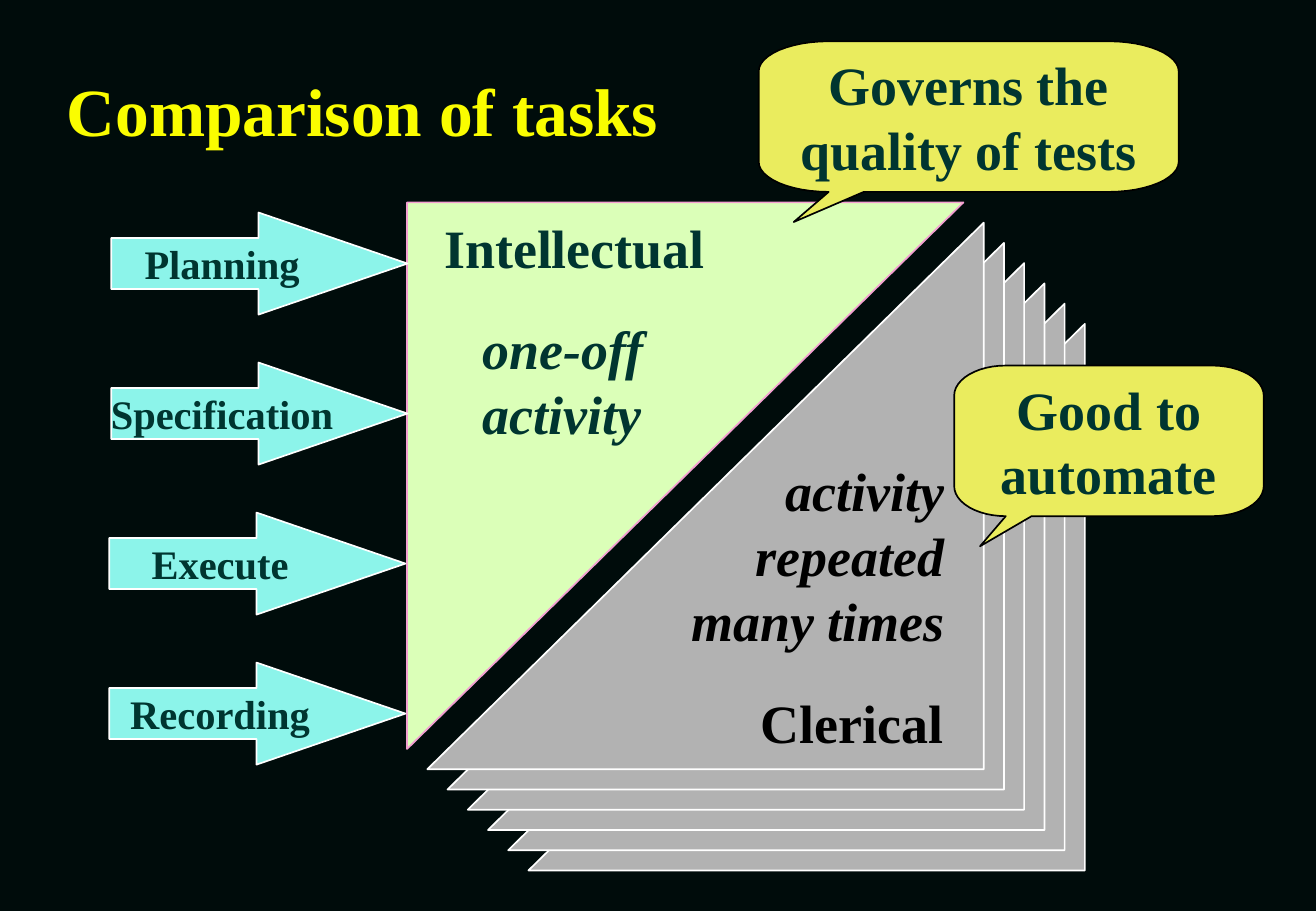
"""Build the slide comparing intellectual and clerical testing tasks."""
from math import cos, pi, sin

from pptx import Presentation
from pptx.dml.color import RGBColor
from pptx.enum.shapes import MSO_SHAPE
from pptx.enum.text import MSO_ANCHOR, MSO_AUTO_SIZE, PP_ALIGN
from pptx.util import Inches, Pt

THEME = {
    "background": "000C0B", "title": "FAFD00", "ink": "003530", "black": "000000",
    "white": "FFFFFF", "sheet": "B2B2B2", "intellect": "DBFFB8", "pink": "F39FD1",
    "callout": "EAEC5E", "arrow": "8CF4EA",
    "font": "Times New Roman", "title_size": 40, "body_size": 32, "arrow_size": 24,
}
CELL = Inches(1) / 6


def paint(shape, fill, line=None):
    shape.shadow.inherit = False
    shape.fill.solid()
    shape.fill.fore_color.rgb = RGBColor.from_string(THEME[fill])
    if line:
        shape.line.color.rgb = RGBColor.from_string(THEME[line])
        shape.line.width = Pt(1)
    else:
        shape.line.fill.background()


def write(shape, words, color, size="body_size", align=PP_ALIGN.CENTER,
          anchor=MSO_ANCHOR.MIDDLE, italic=False, wrap=False):
    frame = shape.text_frame
    frame.text = words
    frame_format = {"word_wrap": wrap, "auto_size": MSO_AUTO_SIZE.NONE,
                    "vertical_anchor": anchor}
    for key, value in frame_format.items():
        setattr(frame, key, value)
    font_format = {"name": THEME["font"], "size": Pt(THEME[size]),
                   "bold": True, "italic": italic}
    for paragraph in frame.paragraphs:
        paragraph.alignment = align
        font = paragraph.runs[0].font
        for key, value in font_format.items():
            setattr(font, key, value)
        font.color.rgb = RGBColor.from_string(THEME[color])


deck = Presentation()
deck.slide_width, deck.slide_height = Inches(10.84), Inches(7.5)
slide = deck.slides.add_slide(deck.slide_layouts[5])
slide.background.fill.solid()
slide.background.fill.fore_color.rgb = RGBColor.from_string(THEME["background"])

heading = slide.shapes.title
title_place = {"left": 2.7, "top": 3.36, "width": 61.7, "height": 4.08}
for side, cells in title_place.items():
    setattr(heading, side, round(cells * CELL))
write(heading, "Comparison of tasks", "title", "title_size", PP_ALIGN.LEFT, wrap=True)

half_width, half_height = 27.5, 27
outlines = []
for depth in range(6, 0, -1):
    left, top = 20.12 + depth, 10 + depth
    right, bottom = left + half_width, top + half_height
    outlines.append(([(right, top), (right, bottom), (left, bottom)],
                     "sheet", "white", None))
left, top = 20.12, 10
outlines.append(([(left, top + half_height), (left, top), (left + half_width, top)],
                 "intellect", "pink", None))

corner_width, corner_height = 1 / 6, 1 / 5
corner_centres = [(1 / 6, 0.2), (1 / 6, 0.8), (5 / 6, 0.8), (5 / 6, 0.2)]
balloon = []
for quarter, (centre_x, centre_y) in enumerate(corner_centres, start=1):
    for step in range(13):
        angle = (quarter + step / 12) * pi / 2
        balloon.append((centre_x + corner_width * cos(angle),
                        centre_y - corner_height * sin(angle)))
    if quarter == 2:
        balloon += [(1 / 12, 1.2), (1 / 4, 1)]

callouts = [
    ("Governs the\nquality of tests", 37.5, 2.04, 20.76),
    ("Good to\nautomate", 47.16, 18.06, 15.3),
]
callout_height = 7.44
for remark, left, top, width in callouts:
    outlines.append(([(left + x * width, top + y * callout_height) for x, y in balloon],
                     "callout", "black", remark))

for corners, fill, line, remark in outlines:
    points = [(round(x * CELL), round(y * CELL)) for x, y in corners]
    pen = slide.shapes.build_freeform(*points[0])
    pen.add_line_segments(points[1:], close=True)
    area = pen.convert_to_shape()
    paint(area, fill, line)
    if remark:
        write(area, remark, "ink")
        area.text_frame.margin_bottom = round(0.2 * callout_height * CELL) + Inches(0.05)

labels = [
    ("Clerical", (36.96, 33.78, 10.26, 3.78), "black", PP_ALIGN.RIGHT, False),
    ("Intellectual", (21.36, 10.32, 14.1, 3.78), "ink", PP_ALIGN.LEFT, False),
    ("one-off\nactivity", (23.28, 15.3, 9.24, 7.02), "ink", PP_ALIGN.LEFT, True),
    ("activity\nrepeated\nmany times", (33.54, 22.32, 13.74, 10.2), "black",
     PP_ALIGN.RIGHT, True),
]
for words, place, color, align, italic in labels:
    label = slide.shapes.add_textbox(*[round(cells * CELL) for cells in place])
    write(label, words, color, align=align, anchor=MSO_ANCHOR.TOP, italic=italic)

tasks = [("Planning", 5.5), ("Specification", 5.5), ("Execute", 5.4), ("Recording", 5.4)]
for row, (task, left) in enumerate(tasks):
    place = (left, 10.5 + 7.41 * row, 14.64, 5.04)
    arrow = slide.shapes.add_shape(MSO_SHAPE.RIGHT_ARROW,
                                   *[round(cells * CELL) for cells in place])
    arrow.adjustments[0], arrow.adjustments[1] = 0.5, 1.46
    paint(arrow, "arrow", "white")
    write(arrow, task, "ink", "arrow_size")

deck.save("out.pptx")
